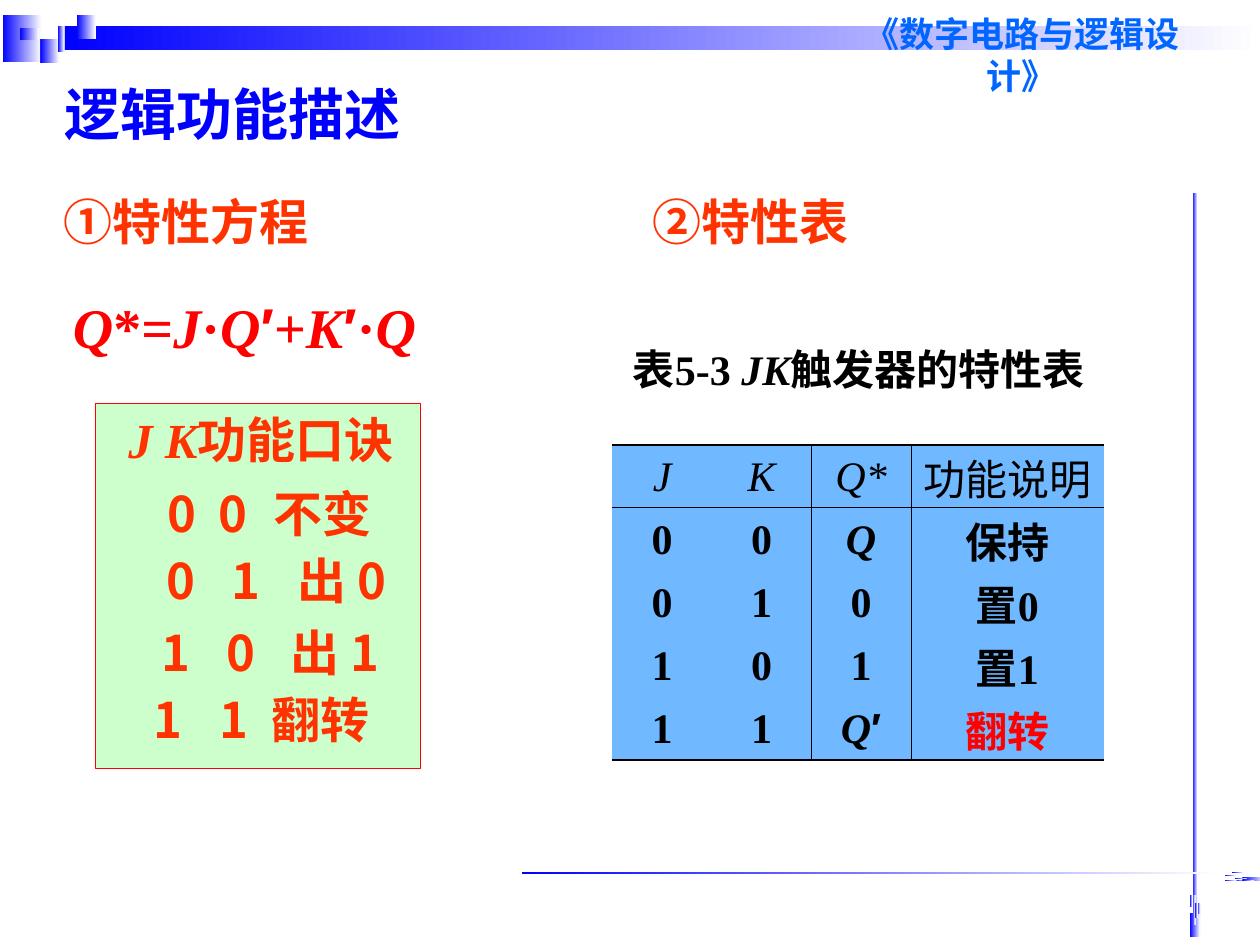
from dataclasses import dataclass

from lxml import etree
from pptx import Presentation
from pptx import util as u
from pptx.dml.color import RGBColor
from pptx.enum import shapes, text
from pptx.oxml import ns


@dataclass(frozen=True)
class Theme:
    blue: str = "0000FF"
    course_blue: str = "0066FF"
    orange: str = "FF3300"
    red: str = "FF0000"
    black: str = "000000"
    white: str = "FFFFFF"
    green: str = "CCFFCC"
    table_blue: str = "70B8FF"
    serif: str = "Times New Roman"
    sans: str = "Arial"
    cjk: str = "Noto Sans CJK SC"
    circled: str = "Comic Neue"
    title: int = 32
    heading: int = 28
    body: int = 24
    course: int = 20
    rule: float = 1.08
    hairline: float = 0.45


theme = Theme()


def write(frame, *spans, size=theme.body, color=theme.black, font=theme.serif,
          bold=True, italic=False, center=False, tabs=()):
    """Fill the first paragraph; a span is a string or (string, format changes)."""
    para = frame.paragraphs[0]
    if tabs:
        stops = etree.SubElement(para._p.get_or_add_pPr(), ns.qn("a:tabLst"))
        for stop in tabs:
            etree.SubElement(stops, ns.qn("a:tab"), pos=str(u.Inches(stop)), algn="l")
    para.alignment = text.PP_ALIGN.CENTER if center else text.PP_ALIGN.LEFT
    for item in spans:
        words, changes = (item, {}) if isinstance(item, str) else item
        look = dict(font=font, italic=italic, color=color) | changes
        span = para.add_run()
        span.text = words
        span.font.size = u.Pt(size)
        span.font.bold = bold
        span.font.italic = look["italic"]
        span.font.name = look["font"]
        span.font.color.rgb = RGBColor.from_string(look["color"])
        etree.SubElement(span._r.get_or_add_rPr(), ns.qn("a:ea"), typeface=theme.cjk)


def add_text(page, place, *spans, **look):
    box = page.shapes.add_textbox(*map(u.Inches, place))
    box.text_frame.word_wrap = True
    box.text_frame.auto_size = text.MSO_AUTO_SIZE.SHAPE_TO_FIT_TEXT
    write(box.text_frame, *spans, **look)


deck = Presentation()
deck.slide_width, deck.slide_height = u.Inches(10), u.Inches(7.5)
page = deck.slides.add_slide(deck.slide_layouts[6])

# Gradient ornaments, grouped by rotation: top band, right bar, bottom line
ornaments = {
    0: [(0.02, 0.12, 0.31, 0.37), (0.47, 0.21, 9.53, 0.19), (0.46, 0.21, 0.05, 0.1),
        (0.61, 0.12, 0.15, 0.1), (0.61, 0.21, 0.15, 0.1), (0.32, 0.31, 0.15, 0.1),
        (0.16, 0.22, 0.15, 0.1), (0.46, 0.31, 0.05, 0.1), (0.32, 0.41, 0.15, 0.09)],
    270: [(9.39, 7.3, 0.19, 0.08), (6.67, 4.33, 5.63, 0.04)]
    + [(left, top, 0.09, 0.02) for left, top in (
        (9.43, 7.23), (9.41, 7.14), (9.43, 7.14), (9.45, 7.2),
        (9.43, 7.29), (9.45, 7.23), (9.47, 7.2))],
    180: [(9.86, 6.96, 0.18, 0.03), (4.14, 6.92, 5.54, 0.02)]
    + [(left, top, 0.09, 0.01) for left, top in (
        (9.8, 6.98), (9.72, 6.94), (9.72, 6.98), (9.78, 6.92),
        (9.86, 6.98), (9.8, 6.97), (9.78, 6.92))],
}
for rotation, places in ornaments.items():
    for place in places:
        bar = page.shapes.add_shape(shapes.MSO_SHAPE.RECTANGLE, *map(u.Inches, place))
        bar.shadow.inherit = False
        bar.rotation = rotation
        bar.line.fill.background()
        bar.fill.gradient()
        bar.fill.gradient_angle = 0
        for stop, color in zip(bar.fill.gradient_stops, (theme.blue, theme.white)):
            stop.color.rgb = RGBColor.from_string(color)
        bar._element.spPr.find(ns.qn("a:gradFill")).set("rotWithShape", "0")

add_text(page, (6.57, 0.05, 3.08, 0.77), "《数字电路与逻辑设计》",
         size=theme.course, color=theme.course_blue, center=True)
add_text(page, (0.41, 0.58, 4.02, 0.64), "逻辑功能描述",
         size=theme.title, color=theme.blue)

# Characteristic equation
heading = dict(size=theme.heading, color=theme.orange)
upright = dict(italic=False)
prime = ("′", dict(font=theme.sans, italic=False))
add_text(page, (0.41, 1.47, 3.66, 0.57), ("①", dict(font=theme.circled)), "特性方程", **heading)
add_text(page, (-0.75, 2.27, 5.38, 0.64),
         "Q", ("*=", upright), "J", ("·", upright), "Q", prime, ("+", upright),
         "K", prime, ("·", upright), "Q",
         size=theme.title, color=theme.red, italic=True, center=True)

# Mnemonic card
card = page.shapes.add_shape(shapes.MSO_SHAPE.RECTANGLE,
                             *map(u.Inches, (0.76, 3.2, 2.58, 2.9)))
card.shadow.inherit = False
card.fill.solid()
card.fill.fore_color.rgb = RGBColor.from_string(theme.green)
card.line.color.rgb = RGBColor.from_string(theme.red)
card.line.width = u.Pt(0.75)
add_text(page, (0.92, 3.2, 2.87, 0.57), ("J K", dict(italic=True)), "功能口诀", **heading)

digit = dict(font=theme.cjk)
mnemonics = [
    (1.23, 3.79, (0.41, 0.84), ("0\t0\t", "不变", "")),
    (1.22, 4.32, (0.52, 1.04), ("0\t1\t", "出 ", "0")),
    (1.18, 4.89, (0.52, 1.03), ("1\t0\t", "出 ", "1")),
    (1.12, 5.42, (0.52, 0.94), ("1\t1\t", "翻转", "")),
]
for left, top, tabs, (inputs, action, result) in mnemonics:
    spans = [(inputs, digit), action] + ([(result, digit)] if result else [])
    add_text(page, (left, top, 2.6, 0.57), *spans, tabs=tabs, **heading)

# Characteristic table
add_text(page, (5.08, 1.47, 3.11, 0.57), "②特性表", **heading)
add_text(page, (4.53, 2.68, 4.57, 0.5), "表5-3 ", ("JK", dict(italic=True)),
         "触发器的特性表", center=True)

slanted = dict(italic=True)
rows = [
    [[("J", slanted)], [("K", slanted)], [("Q*", slanted)], ["功能说明"]],
    [["0"], ["0"], [("Q", slanted)], ["保持"]],
    [["0"], ["1"], ["0"], ["置0"]],
    [["1"], ["0"], ["1"], ["置1"]],
    [["1"], ["1"], [("Q", slanted), prime], [("翻转", dict(color=theme.red))]],
]
last = len(rows) - 1
table = page.shapes.add_table(len(rows), 4, *map(u.Inches, (4.86, 3.53, 3.9, 2.5))).table
table.first_row = table.horz_banding = False
for column, width in zip(table.columns, (0.79, 0.79, 0.79, 1.53)):
    column.width = u.Inches(width)
for r, row in enumerate(rows):
    table.rows[r].height = u.Inches(0.5)
    for c, spans in enumerate(row):
        cell = table.cell(r, c)
        cell.margin_left = cell.margin_right = u.Inches(0.03)
        cell.margin_top, cell.margin_bottom = u.Inches(0.02), 0
        cell.vertical_anchor = text.MSO_ANCHOR.MIDDLE
        write(cell.text_frame, *spans, bold=r > 0, center=True)
        borders = {
            "a:lnL": theme.hairline if c >= 2 else 0,
            "a:lnR": theme.hairline if c in (1, 2) else 0,
            "a:lnT": {0: theme.rule, 1: theme.hairline}.get(r, 0),
            "a:lnB": {0: theme.hairline, last: theme.rule}.get(r, 0),
        }
        for tag, width in borders.items():
            line = etree.SubElement(cell._tc.get_or_add_tcPr(), ns.qn(tag), w=str(u.Pt(width)))
            paint = etree.SubElement(line, ns.qn("a:solidFill" if width else "a:noFill"))
            if width:
                etree.SubElement(paint, ns.qn("a:srgbClr"), val=theme.black)
        cell.fill.solid()
        cell.fill.fore_color.rgb = RGBColor.from_string(theme.table_blue)

deck.save("out.pptx")
